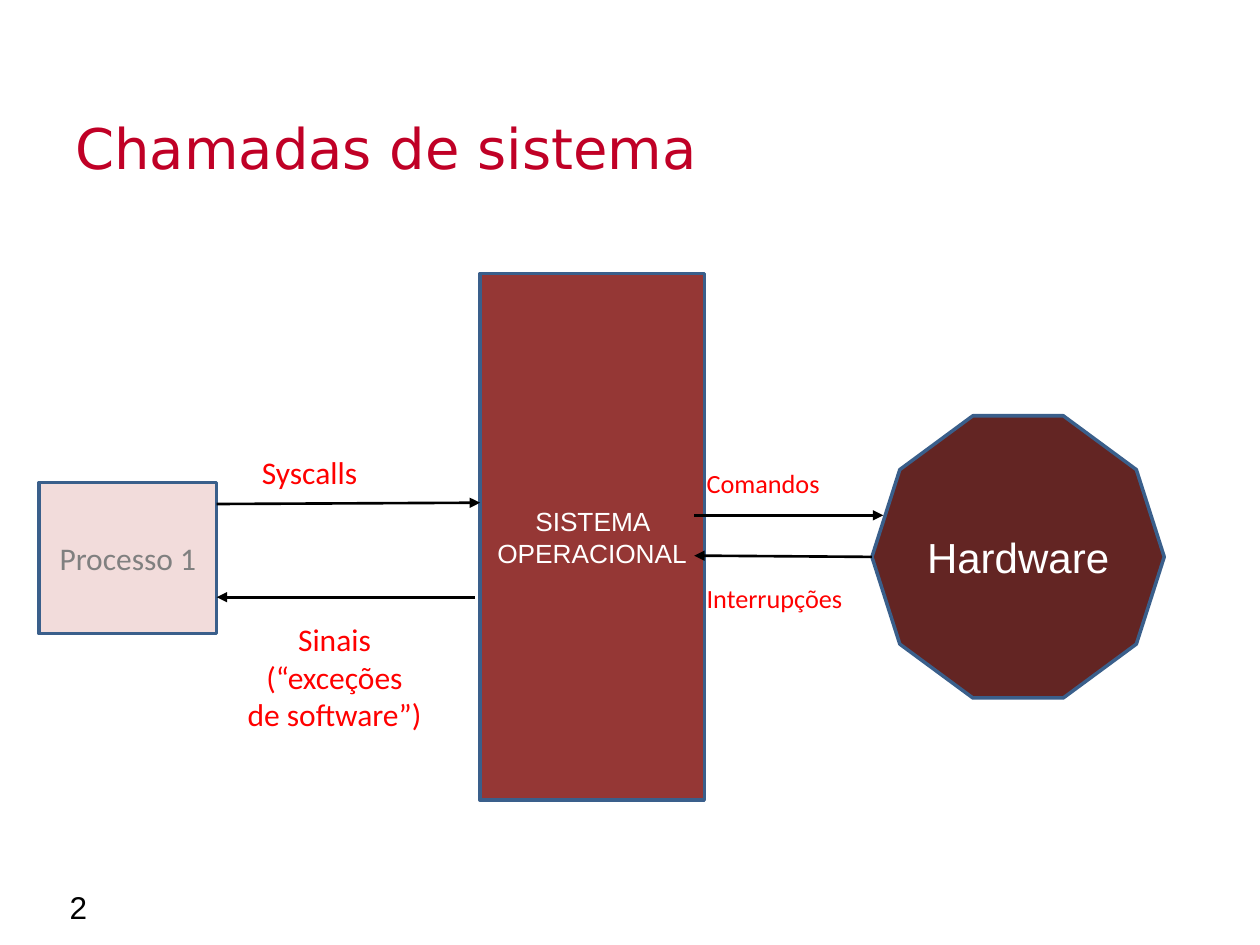
import pptx
import pptx.util
import pptx.dml.color
import pptx.enum.shapes
import pptx.enum.text
import pptx.oxml
import pptx.oxml.ns

Inches = pptx.util.Inches
Pt = pptx.util.Pt
Kind = pptx.enum.shapes.MSO_SHAPE
Align = pptx.enum.text.PP_ALIGN
Anchor = pptx.enum.text.MSO_ANCHOR

EDGE, RED, BLACK, WHITE = "3A5F8B", "FF0000", "000000", "FFFFFF"

NODES = [
    (Kind.RECTANGLE, (0.31, 3.83, 1.41, 1.2), "F2DCDB", "Processo 1", 18, "Calibri", "808080"),
    (Kind.RECTANGLE, (3.81, 2.17, 1.78, 4.18), "953735", "SISTEMA OPERACIONAL", 15, "Arial", WHITE),
    (Kind.DECAGON, (6.92, 3.3, 2.32, 2.24), "632523", "Hardware", 24, "Arial", WHITE),
]

ARROWS = [
    ((1.72, 4), (3.81, 3.99)),
    ((3.77, 4.74), (1.72, 4.74)),
    ((5.51, 4.09), (7.01, 4.09)),
    ((6.92, 4.42), (5.51, 4.41)),
]

LABELS = [
    ((0.5, 0.85, 9, 0.67), ["Chamadas de sistema"], 32, "DejaVu Sans", "C00026", Align.LEFT, Anchor.TOP),
    ((0.09, 7, 0.7, 0.4), ["2"], 18, "Arial", BLACK, Align.RIGHT, Anchor.MIDDLE),
    ((1.98, 3.55, 1.19, 0.4), ["Syscalls"], 18, "Calibri", RED, Align.LEFT, Anchor.TOP),
    ((1.71, 4.87, 1.89, 1), ["Sinais", "(“exceções", "de software”)"], 18, "Calibri", RED, Align.CENTER, Anchor.TOP),
    ((5.51, 3.66, 1.51, 0.35), ["Comandos"], 15, "Calibri", RED, Align.LEFT, Anchor.TOP),
    ((5.51, 4.57, 1.51, 0.35), ["Interrupções"], 15, "Calibri", RED, Align.LEFT, Anchor.TOP),
]


def color(text):
    return pptx.dml.color.RGBColor.from_string(text)


def write(shape, lines, size, font, ink, align, anchor):
    frame = shape.text_frame
    frame.word_wrap = True
    frame.vertical_anchor = anchor
    for i, line in enumerate(lines):
        para = frame.add_paragraph() if i else frame.paragraphs[0]
        para.alignment = align
        run = para.add_run()
        run.text = line
        run.font.size = Pt(size)
        run.font.name = font
        run.font.color.rgb = color(ink)


def stroke(shape, ink, width):
    shape.line.color.rgb = color(ink)
    shape.line.width = Pt(width)


def node(slide, kind, box, fill, text, size, font, ink):
    shape = slide.shapes.add_shape(kind, *map(Inches, box))
    shape.shadow.inherit = False
    shape.fill.solid()
    shape.fill.fore_color.rgb = color(fill)
    stroke(shape, EDGE, 2)
    write(shape, [text], size, font, ink, Align.CENTER, Anchor.MIDDLE)


def arrow(slide, start, end):
    link = slide.shapes.add_connector(
        pptx.enum.shapes.MSO_CONNECTOR.STRAIGHT, *map(Inches, start + end))
    stroke(link, BLACK, 1.5)
    space = pptx.oxml.ns.nsdecls("a")
    head = pptx.oxml.parse_xml(f'<a:tailEnd {space} type="triangle"/>')
    link.line._get_or_add_ln().append(head)
    link._element.spPr.append(pptx.oxml.parse_xml(f"<a:effectLst {space}/>"))


def main():
    deck = pptx.Presentation()
    deck.slide_width, deck.slide_height = Inches(10), Inches(7.5)
    slide = deck.slides.add_slide(deck.slide_layouts[6])
    for item in NODES:
        node(slide, *item)
    for start, end in ARROWS:
        arrow(slide, start, end)
    for box, *style in LABELS:
        write(slide.shapes.add_textbox(*map(Inches, box)), *style)
    deck.save("out.pptx")


if __name__ == "__main__":
    main()
